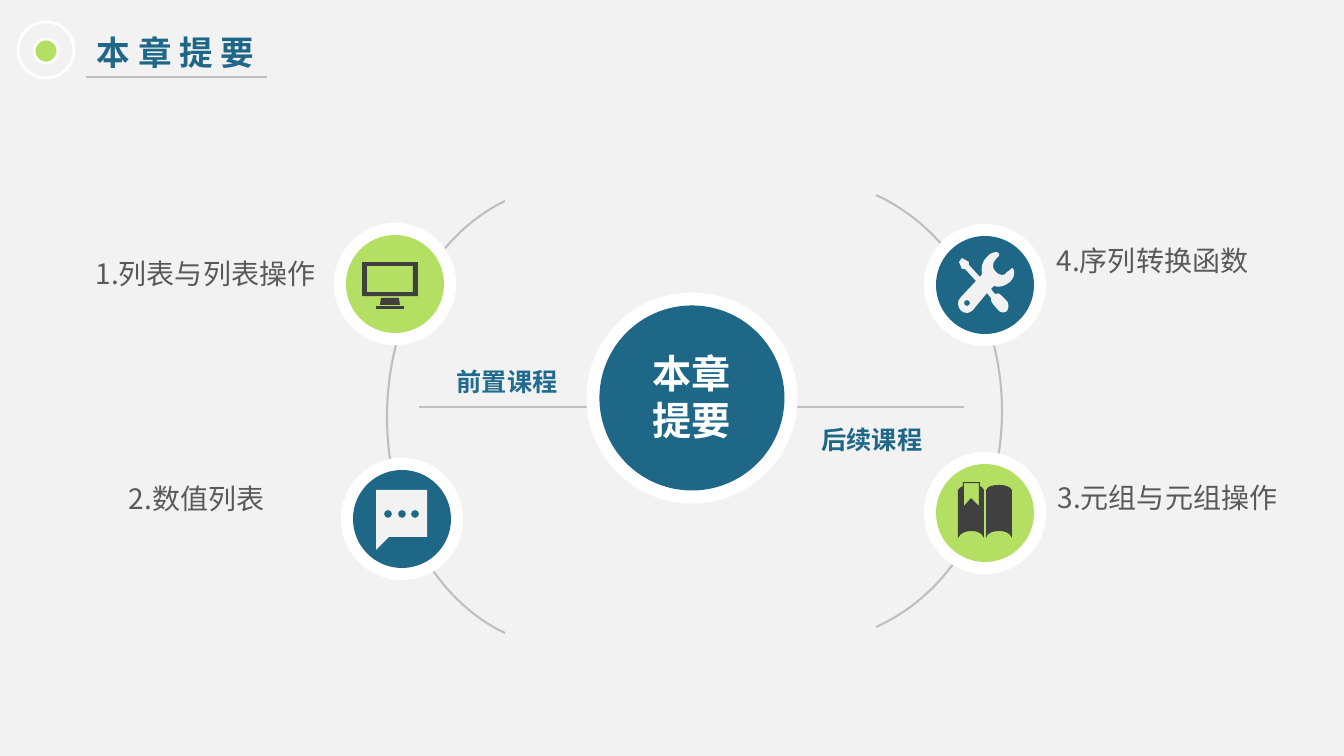
from lxml import etree
from pptx import Presentation
from pptx.dml.color import RGBColor
from pptx.enum.shapes import MSO_CONNECTOR as Conn, MSO_SHAPE as Shp
from pptx.enum.text import MSO_AUTO_SIZE as Fit, PP_ALIGN as Align
from pptx.oxml.ns import qn
from pptx.util import Pt

PX = 12700 * 72 / 100.8
FINE = 10
BLUE, GREEN, GREY, DARK = "1E6787", "B3DF63", "BFBFBF", "404040"
WHITE, PALE, TEXT = "FFFFFF", "F2F2F2", "595959"


def px(n):
    return round(n * PX)


def rgb(color):
    return RGBColor.from_string(color)


def ring(cx, cy, r):
    k = 0.55 * r
    return [(cx, cy - r),
            (cx + k, cy - r, cx + r, cy - k, cx + r, cy),
            (cx + r, cy + k, cx + k, cy + r, cx, cy + r),
            (cx - k, cy + r, cx - r, cy + k, cx - r, cy),
            (cx - r, cy - k, cx - k, cy - r, cx, cy - r)]


def rect(x1, y1, x2, y2):
    return [(x1, y1), (x2, y1), (x2, y2), (x1, y2)]


class Deck:
    """Holds the font and the current slide, and draws on it in px."""

    def __init__(self, prs, font):
        self.s = prs.slides.add_slide(prs.slide_layouts[6])
        self.font = font

    def background(self, color):
        fill = self.s.background.fill
        fill.solid()
        fill.fore_color.rgb = rgb(color)

    def paint(self, sp, fill, line, width):
        sp.shadow.inherit = False
        if fill:
            sp.fill.solid()
            sp.fill.fore_color.rgb = rgb(fill)
        else:
            sp.fill.background()
        if line:
            sp.line.color.rgb = rgb(line)
            sp.line.width = Pt(width)
        else:
            sp.line.fill.background()

    def circle(self, cx, cy, d, fill=None, line=None, width=2):
        sp = self.s.shapes.add_shape(Shp.OVAL, px(cx - d / 2), px(cy - d / 2), px(d), px(d))
        self.paint(sp, fill, line, width)

    def free(self, *outlines, fill=None, line=None, width=1.5):
        """Draw outlines whose nodes are (x, y) corners or six-number cubic curves."""
        outlines = [[[round(n * FINE) for n in node] for node in o] for o in outlines]
        fb = self.s.shapes.build_freeform(*outlines[0][0], scale=PX / FINE)
        for i, outline in enumerate(outlines):
            if i:
                fb.move_to(*outline[0])
            fb.add_line_segments([node[-2:] for node in outline[1:]], close=bool(fill))
        sp = fb.convert_to_shape()
        nodes = [node for o in outlines for node in o]
        left, top = (min(node[i] for node in nodes) for i in (-2, -1))
        steps = [e for e in sp._element.iter(qn("a:moveTo"), qn("a:lnTo"))]
        if fill:
            closing = {sum(len(o) for o in outlines[:i + 1]) for i in range(len(outlines))}
            if len(steps) > len(nodes):
                raise ValueError(f"unexpected closing points {closing}")
        for step, node in zip(steps, nodes):
            if len(node) == 6:
                step.tag = qn("a:cubicBezTo")
                for i in (2, 0):
                    pt = etree.Element(qn("a:pt"), x=str(node[i] - left), y=str(node[i + 1] - top))
                    step.insert(0, pt)
        self.paint(sp, fill, line, width)

    def line(self, x1, y1, x2, y2, color, width):
        sp = self.s.shapes.add_connector(Conn.STRAIGHT, px(x1), px(y1), px(x2), px(y2))
        sp.line.color.rgb = rgb(color)
        sp.line.width = Pt(width)
        etree.SubElement(sp._element.spPr, qn("a:effectLst"))

    def text(self, x, y, w, h, *lines, size, color, bold=False, wrap=True, **para):
        tf = self.s.shapes.add_textbox(px(x), px(y), px(w), px(h)).text_frame
        tf.word_wrap, tf.auto_size = wrap, Fit.SHAPE_TO_FIT_TEXT
        style = {"size": Pt(size), "bold": bold, "name": self.font}
        for i, words in enumerate(lines):
            p = tf.add_paragraph() if i else tf.paragraphs[0]
            for key, value in para.items():
                setattr(p, key, value)
            r = p.add_run()
            r.text = words
            for key, value in style.items():
                setattr(r.font, key, value)
            r.font.color.rgb = rgb(color)
            ea = etree.SubElement(r.font._element, qn("a:ea"))
            ea.set("typeface", self.font)


def draw_icons(deck):
    deck.free([(381, 298), (380, 305), (400, 305), (399, 298)], fill=DARK)
    deck.free(rect(362, 262, 418, 296), rect(367, 266, 413, 292), fill=DARK)
    deck.free(rect(376, 306, 404, 309), fill=DARK)

    bubble = [(376, 550), (389, 537), (427, 537), (427, 490), (376, 490)]
    deck.free(bubble, *(ring(x, 514, 4) for x in (388, 402, 415)), fill=PALE)

    left_page = [(958, 538), (960, 533, 966, 531, 971, 531), (978, 531, 982, 533, 984, 538),
                 (984, 490), (983, 488, 982, 487, 980, 486), (980, 482), (963, 482),
                 (963, 486), (961, 487, 959, 488, 958, 490)]
    bookmark = [(964, 483), (979, 483), (979, 506), (971, 498), (964, 506)]
    right_page = [(986, 538), (987, 533, 993, 531, 999, 531), (1005, 531, 1010, 533, 1012, 538),
                  (1012, 490), (1009, 486, 1005, 485, 999, 485), (993, 485, 988, 486, 986, 490)]
    deck.free(left_page, bookmark, fill=DARK)
    deck.free(right_page, fill=DARK)

    tools = [(958, 303), (958, 309, 962, 313, 967, 313), (969, 313, 971, 312, 973, 310),
             (987, 293), (991, 298), (991, 300, 991, 302, 993, 304), (999, 311),
             (1001, 313, 1005, 313, 1007, 311), (1009, 308, 1009, 304, 1007, 301),
             (1001, 295), (1000, 293, 997, 293, 995, 294), (991, 289), (994, 286),
             (999, 288, 1005, 286, 1010, 282), (1013, 279, 1015, 275, 1014, 271),
             (1014, 269, 1013, 268, 1012, 268), (1011, 268, 1010, 269, 1010, 270),
             (1007, 272), (1006, 274, 1004, 275, 1002, 275), (999, 275, 997, 273, 996, 272),
             (994, 270, 993, 268, 993, 266), (993, 263, 994, 261, 996, 259), (999, 256),
             (1000, 255, 999, 252, 997, 252), (993, 252, 989, 254, 987, 257),
             (982, 261, 981, 268, 982, 274), (980, 277), (969, 265), (969, 262),
             (962, 258), (959, 262), (962, 269), (965, 269), (976, 281), (961, 297),
             (959, 299, 958, 301, 958, 303)]
    deck.free(tools, ring(967, 303, 3), fill=PALE)


def main():
    prs = Presentation()
    prs.slide_width, prs.slide_height = px(1344), px(756)
    deck = Deck(prs, "Noto Sans CJK SC")
    deck.background(PALE)

    deck.free([(505, 633), (435, 600, 387, 515, 387, 417), (387, 319, 435, 235, 505, 201)],
              line=GREY)
    deck.text(87, 27, 193, 50, "本 章 提 要", size=24, color=BLUE, bold=True)
    deck.circle(46, 51, 24, GREEN, WHITE)
    deck.circle(46, 50, 56, line=WHITE)
    deck.line(86, 77, 267, 77, GREY, 0.75)
    deck.free([(876, 627), (950, 594, 1002, 510, 1002, 411), (1002, 313, 950, 229, 876, 195)],
              line=GREY)
    deck.line(419, 407, 964, 407, GREY, 1.5)

    topics = [("1.列表与列表操作", 78, 241, 395, 284, GREEN),
              ("2.数值列表", 69, 466, 402, 519, BLUE),
              ("3.元组与元组操作", 1040, 465, 985, 513, GREEN),
              ("4.序列转换函数", 1025, 228, 985, 285, BLUE)]
    for words, x, y, *_ in topics:
        deck.text(x, y, 255, 54, words, size=20, color=TEXT,
                  alignment=Align.CENTER, line_spacing=1.3)

    deck.circle(692, 398, 211, WHITE)
    deck.circle(692, 398, 185, BLUE)
    deck.text(642, 344, 100, 105, "本章", "提要", size=28, color=WHITE, bold=True,
              wrap=False, alignment=Align.CENTER)

    for *_, cx, cy, color in topics:
        deck.circle(cx, cy, 119, WHITE, WHITE, 2.25)
        deck.circle(cx, cy, 98, color)

    for words, x, y, w, color in [("前置课程", 439, 361, 136, "206B8E"),
                                  ("后续课程", 802, 419, 140, BLUE)]:
        deck.text(x, y, w, 40, words, size=18, color=color, bold=True, alignment=Align.CENTER)

    draw_icons(deck)
    prs.save("out.pptx")


if __name__ == "__main__":
    main()
